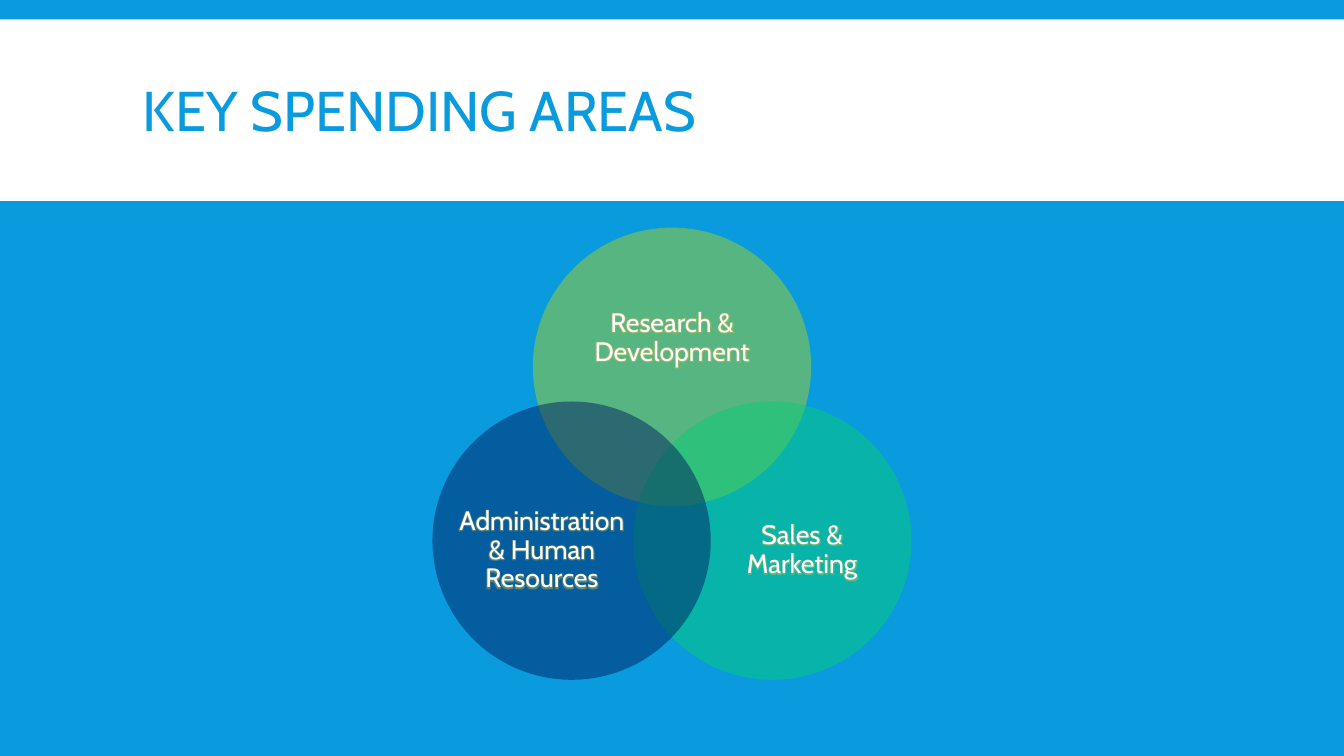
from math import cos, radians, sin

from lxml import etree
from pptx import Presentation
from pptx.dml.color import RGBColor
from pptx.enum.shapes import MSO_SHAPE
from pptx.enum.text import MSO_ANCHOR, PP_ALIGN
from pptx.oxml.ns import qn
from pptx.util import Pt

OVAL, RECT = MSO_SHAPE.OVAL, MSO_SHAPE.RECTANGLE
MID = MSO_ANCHOR.MIDDLE
LEFT, CENTER = PP_ALIGN.LEFT, PP_ALIGN.CENTER

TITLE = "KEY SPENDING AREAS"
AREAS = [
    {"text": "Research & Development", "fill": "A5D028", "angle": -90,
     "shift": (0, -20.2), "size": (145.4, 89.3)},
    {"text": "Sales & Marketing", "fill": "08CC78", "angle": 30,
     "shift": (21.2, 7), "size": (119.5, 109.4)},
    {"text": "Administration & Human Resources", "fill": "002060", "angle": 150,
     "shift": (-21.2, 7), "size": (119.5, 109.4)},
]

THEME = {"blue": "099BDD", "white": "FFFFFF", "glow": "F2C12E",
         "font": "Cabin", "title": 40, "label": 19, "alpha": 50, "haze": 40}
PAGE = (960, 540)
BAND = (0, 13.9, 960, 129.6)
HEAD = (95, 22.3, 770.4, 118.8)
HUB = (480, 344.8)
REACH = 82.8
SPAN = 198.8


def rgb(code):
    return RGBColor.from_string(code)


def apply(item, **values):
    for name, value in values.items():
        setattr(item, name, value)


def around(x, y, w, h):
    return x - w / 2, y - h / 2, w, h


def fade(color, share):
    etree.SubElement(color, qn("a:alpha"), val=str(share * 1000))


def draw(slide, kind, box, fill, alpha=100):
    shape = slide.shapes.add_shape(kind, *map(Pt, box))
    shape.shadow.inherit = False
    shape.fill.solid()
    shape.fill.fore_color.rgb = rgb(fill)
    shape.line.fill.background()
    if alpha < 100:
        fade(shape.fill._xPr.find(".//" + qn("a:srgbClr")), alpha)


def write(slide, text, box, size, color, align, pad, gap):
    frame = slide.shapes.add_textbox(*map(Pt, box)).text_frame
    apply(frame, word_wrap=True, vertical_anchor=MID,
          margin_left=Pt(pad), margin_right=Pt(pad),
          margin_top=Pt(pad / 2), margin_bottom=Pt(pad / 2))
    para = frame.paragraphs[0]
    apply(para, alignment=align, line_spacing=gap)
    run = para.add_run()
    run.text = text
    apply(run.font, name=THEME["font"], size=Pt(size))
    run.font.color.rgb = rgb(color)
    return run


def shine(run):
    effect = etree.Element(qn("a:effectLst"))
    glow = etree.SubElement(effect, qn("a:glow"), rad=str(Pt(3)))
    color = etree.SubElement(glow, qn("a:srgbClr"), val=THEME["glow"])
    fade(color, THEME["haze"])
    run.font.fill._xPr.find(qn("a:solidFill")).addnext(effect)


def main():
    deck = Presentation()
    apply(deck, slide_width=Pt(PAGE[0]), slide_height=Pt(PAGE[1]))
    slide = deck.slides.add_slide(deck.slide_layouts[6])
    slide.background.fill.solid()
    slide.background.fill.fore_color.rgb = rgb(THEME["blue"])
    draw(slide, RECT, BAND, THEME["white"])
    write(slide, TITLE, HEAD, THEME["title"], THEME["blue"], LEFT, 7.2, 0.85)
    for area in AREAS:
        turn = radians(area["angle"])
        x, y = HUB[0] + REACH * cos(turn), HUB[1] + REACH * sin(turn)
        draw(slide, OVAL, around(x, y, SPAN, SPAN), area["fill"], THEME["alpha"])
        dx, dy = area["shift"]
        box = around(x + dx, y + dy, *area["size"])
        shine(write(slide, area["text"], box, THEME["label"],
                    THEME["white"], CENTER, 0, 0.9))
    deck.save("out.pptx")


if __name__ == "__main__":
    main()
